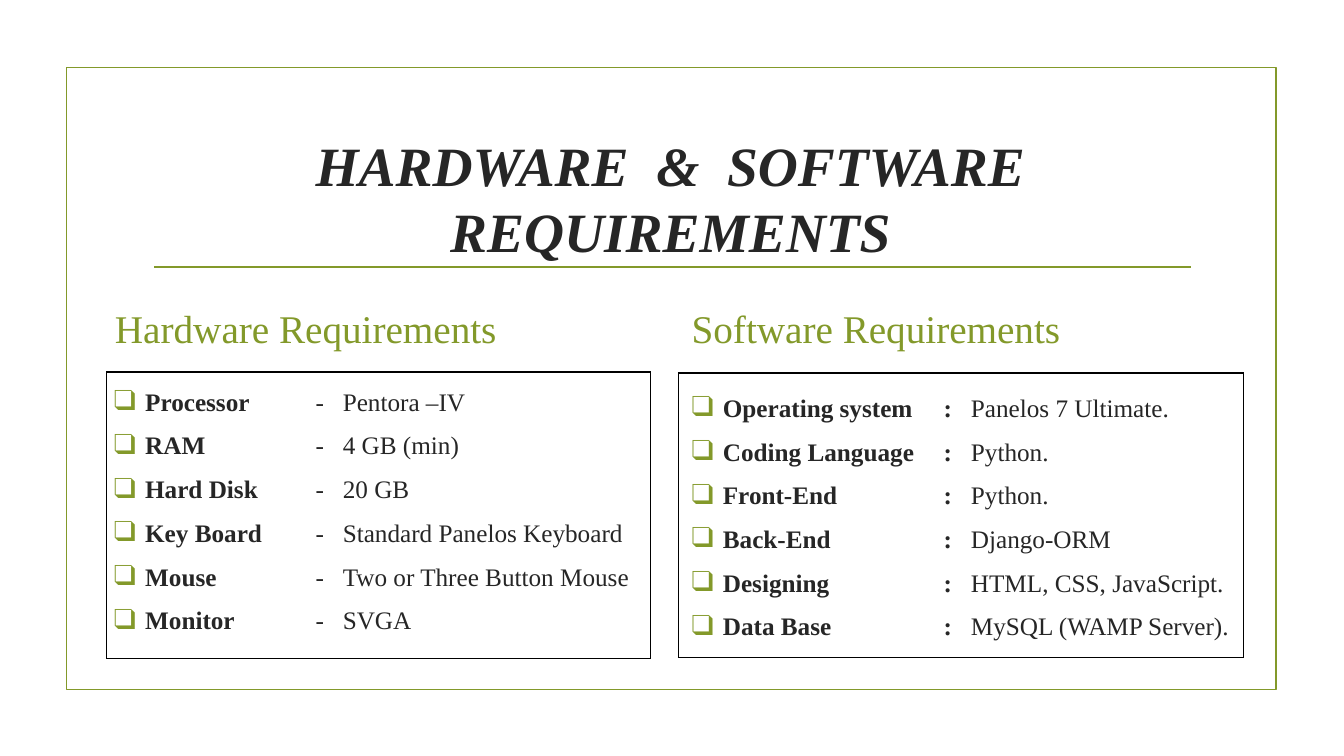
"""Build the hardware and software requirements slide."""
from dataclasses import dataclass

from lxml.etree import SubElement
from pptx import Presentation
from pptx.dml.color import RGBColor
from pptx.enum.shapes import MSO_CONNECTOR, MSO_SHAPE
from pptx.enum.text import MSO_ANCHOR, MSO_AUTO_SIZE, PP_ALIGN
from pptx.oxml import parse_xml
from pptx.oxml.ns import nsdecls, qn
from pptx.util import Inches, Pt


@dataclass(frozen=True)
class Theme:
    font: str = "Times New Roman"
    green: str = "83992A"
    ink: str = "262626"
    black: str = "000000"
    title: float = 39.6
    head: float = 28
    body: float = 18


theme = Theme()


def write(para, text, size=theme.body, color=theme.ink, bold=False, italic=False):
    run = para.add_run()
    run.text = text
    font = run.font
    font.name, font.size = theme.font, Pt(size)
    font.bold, font.italic = bold, italic
    font.color.rgb = RGBColor.from_string(color)


def place(holder, box, anchor):
    holder.left, holder.top, holder.width, holder.height = map(Inches, box)
    frame = holder.text_frame
    frame.auto_size = MSO_AUTO_SIZE.NONE
    frame.word_wrap = True
    frame.vertical_anchor = anchor
    return frame


deck = Presentation()
deck.slide_width, deck.slide_height = Inches(13.33), Inches(7.5)
slide = deck.slides.add_slide(deck.slide_layouts[4])
shapes = slide.shapes
holders = {item.placeholder_format.idx: item for item in slide.placeholders}
for idx in (10, 11, 12):
    if idx in holders:
        holders[idx].element.getparent().remove(holders[idx].element)

border = shapes.add_shape(
    MSO_SHAPE.RECTANGLE, Inches(0.66), Inches(0.67), Inches(12), Inches(6.17))
border.shadow.inherit = False
border.fill.background()
rule = shapes.add_connector(
    MSO_CONNECTOR.STRAIGHT, Inches(1.53), Inches(2.65), Inches(11.81), Inches(2.65))
SubElement(rule.element.spPr, qn("a:effectLst"))
for shape in (border, rule):
    shape.line.color.rgb = RGBColor.from_string(theme.green)
    shape.line.width = Pt(1.25)

para = place(holders[0], (1.4, 1.24, 10.5, 1.43), MSO_ANCHOR.MIDDLE).paragraphs[0]
para.alignment = PP_ALIGN.CENTER
write(para, "HARDWARE  &  SOFTWARE REQUIREMENTS", size=theme.title, bold=True, italic=True)

hard = [
    ("Processor", "Pentora –IV"),
    ("RAM", "4 GB (min)"),
    ("Hard Disk", "20 GB"),
    ("Key Board", "Standard Panelos Keyboard"),
    ("Mouse", "Two or Three Button Mouse"),
    ("Monitor", "SVGA"),
]
soft = [
    ("Operating system", "Panelos 7 Ultimate."),
    ("Coding Language", "Python."),
    ("Front-End", "Python."),
    ("Back-End", "Django-ORM"),
    ("Designing", "HTML, CSS, JavaScript."),
    ("Data Base", "MySQL (WAMP Server)."),
]
sides = [
    (1, "Hardware Requirements", (1.04, 2.91, 5.53, 0.63), (1.03, 3.78, 5.87, 2.65),
     (1.06, 3.69, 5.39, 2.84), hard, "-", False, 2),
    (3, "Software Requirements", (6.76, 2.91, 5.16, 0.63), (6.76, 3.84, 5.63, 2.59),
     (6.73, 3.7, 5.6, 2.82), soft, ":", True, 2.5),
]
for idx, head, top, area, edge, rows, mark, bold, stop in sides:
    para = place(holders[idx], top, MSO_ANCHOR.BOTTOM).paragraphs[0]
    para.space_before, para.space_after = Pt(0), Pt(6)
    write(para, head, size=theme.head, color=theme.green)

    frame = place(holders[idx + 1], area, MSO_ANCHOR.TOP)
    for row, (name, value) in enumerate(rows):
        para = frame.paragraphs[0] if row == 0 else frame.add_paragraph()
        props = para._p.get_or_add_pPr()
        props.set("marL", str(Inches(0.31)))
        props.set("indent", str(Inches(-0.31)))
        color = SubElement(props, qn("a:buClr"))
        SubElement(color, qn("a:srgbClr"), val=theme.green)
        SubElement(props, qn("a:buSzPct"), val="115000")
        SubElement(props, qn("a:buFont"), typeface=theme.font)
        SubElement(props, qn("a:buChar"), char="❑")
        tabs = SubElement(props, qn("a:tabLst"))
        for pos in (stop, stop + 0.27):
            SubElement(tabs, qn("a:tab"), pos=str(Inches(pos)), algn="l")
        para.space_before = Pt(3.6 if row else 0)
        para.space_after = Pt(6)
        write(para, name, bold=True)
        write(para, f"\t{mark}\t", bold=bold)
        write(para, value)

    table = shapes.add_table(1, 1, *map(Inches, edge)).table
    table.first_row = table.horz_banding = False
    cell = table.cell(0, 0)
    cell.fill.background()
    props = cell._tc.get_or_add_tcPr()
    for spot, side in enumerate(("lnL", "lnR", "lnT", "lnB")):
        props.insert(spot, parse_xml(
            f'<a:{side} {nsdecls("a")} w="{Pt(1)}"><a:solidFill>'
            f'<a:srgbClr val="{theme.black}"/></a:solidFill></a:{side}>'))

deck.save("out.pptx")
